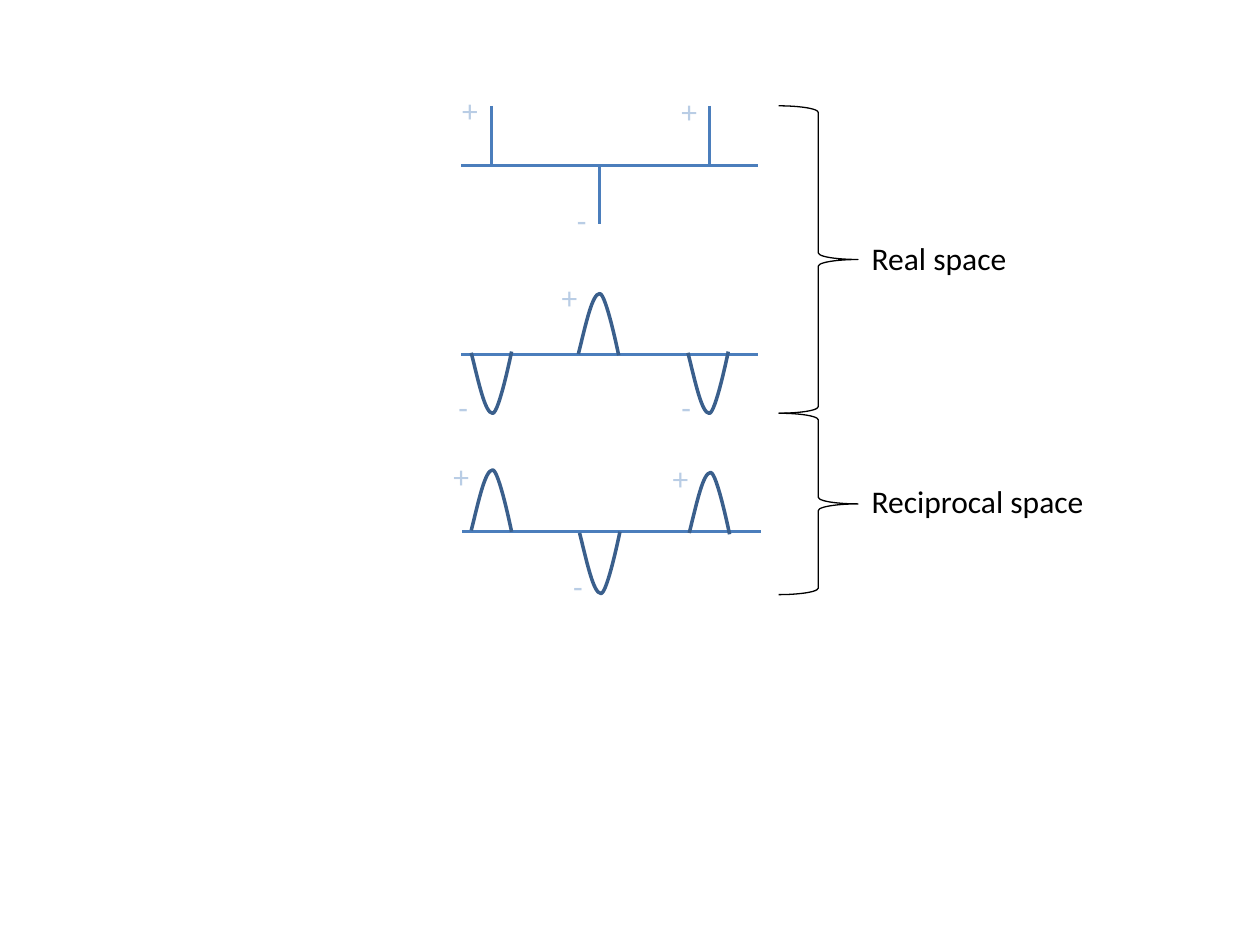
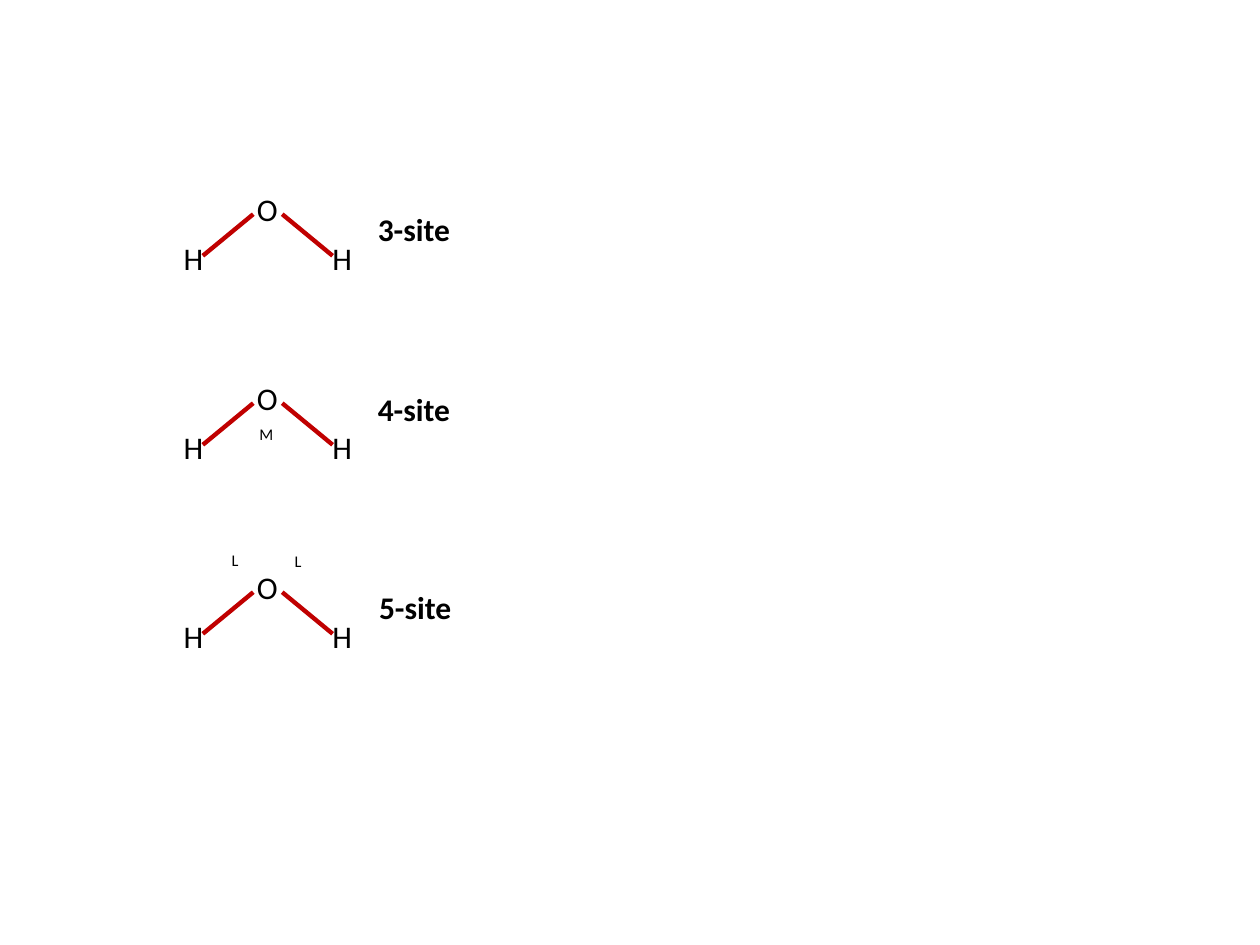
from lxml import etree
from pptx import Presentation
from pptx import util as u
from pptx.dml.color import RGBColor
from pptx.enum import shapes, text
from pptx.oxml.ns import qn

EMU_PER_PX = 9144
FONT = "Calibri"
BLACK = RGBColor(0x00, 0x00, 0x00)
WHITE = RGBColor(0xFF, 0xFF, 0xFF)
AXIS_BLUE = RGBColor(0x4B, 0x7E, 0xBC)
LOBE_BLUE = RGBColor(0x3A, 0x5F, 0x8C)
SIGN_BLUE = RGBColor(0xB9, 0xCD, 0xE5)
BOND_RED = RGBColor(0xC0, 0x00, 0x00)

LABEL_HEIGHT = 40
SITE_HEIGHT = 28
LOBE_CONTROLS = ((6, 24), (11, 48), (17, 48), (22, 48), (32, -1), (32, -1))


def px(length):
    return u.Emu(round(length * EMU_PER_PX))


def add_line(slide, start, end, color, weight):
    line = slide.shapes.add_connector(
        shapes.MSO_CONNECTOR.STRAIGHT, *map(px, (*start, *end)))
    line.line.color.rgb = color
    line.line.width = u.Pt(weight)
    etree.SubElement(line._element.spPr, qn("a:effectLst"))


def add_label(slide, wording, left, top, width, height=LABEL_HEIGHT,
              color=BLACK, size=18, bold=False, subscript=False):
    label = slide.shapes.add_textbox(*map(px, (left, top, width, height)))
    frame = label.text_frame
    frame.text = wording
    frame.word_wrap = False
    frame.auto_size = text.MSO_AUTO_SIZE.SHAPE_TO_FIT_TEXT
    run = frame.paragraphs[0].runs[0]
    run.font.name = FONT
    run.font.size = u.Pt(size)
    run.font.bold = bold
    run.font.color.rgb = color
    if subscript:
        run._r.get_or_add_rPr().set("baseline", "-25000")


def bend_segments(freeform):
    segments = list(freeform._element.spPr.iter(qn("a:lnTo")))
    for first, second, third in zip(*[iter(segments)] * 3):
        first.tag = qn("a:cubicBezTo")
        for segment in (second, third):
            first.append(segment[0])
            segment.getparent().remove(segment)


def add_lobe(slide, left, base, direction):
    builder = slide.shapes.build_freeform(px(left), px(base))
    builder.add_line_segments(
        [(px(left + x), px(base + direction * y)) for x, y in LOBE_CONTROLS],
        close=False)
    lobe = builder.convert_to_shape()
    bend_segments(lobe)
    lobe.fill.background()
    lobe.line.color.rgb = LOBE_BLUE
    lobe.line.width = u.Pt(2)
    lobe.shadow.inherit = False


def add_brace(slide, top, height):
    brace = slide.shapes.add_shape(
        shapes.MSO_SHAPE.RIGHT_BRACE, *map(px, (618, top, 63, height)))
    brace.fill.solid()
    brace.fill.fore_color.rgb = WHITE
    brace.line.color.rgb = BLACK
    brace.line.width = u.Pt(0.75)
    brace.shadow.inherit = False


def add_water(slide, top):
    add_line(slide, (201, top + 24), (161, top + 57), BOND_RED, 2.5)
    add_line(slide, (264, top + 57), (224, top + 24), BOND_RED, 2.5)
    add_label(slide, "O", 194, top, 37)
    for hydrogen_left in (136, 254):
        add_label(slide, "H", hydrogen_left, top + 39, 36)


def draw_charge_spaces(slide):
    for left, right, axis_y in ((366, 602, 131), (366, 602, 281), (367, 604, 422)):
        add_line(slide, (left, axis_y), (right, axis_y), AXIS_BLUE, 1.75)
    for spike_x, top, bottom in ((390, 84, 131), (476, 131, 178), (563, 84, 131)):
        add_line(slide, (spike_x, top), (spike_x, bottom), AXIS_BLUE, 1.75)

    for left, base in ((374, 421), (459, 281), (547, 423)):
        add_lobe(slide, left, base, -1)
    for left, base in ((374, 280), (546, 280), (460, 423)):
        add_lobe(slide, left, base, 1)

    for brace_top, brace_height in ((84, 244), (328, 144)):
        add_brace(slide, brace_top, brace_height)

    for left, top in ((357, 67), (531, 68), (436, 216), (350, 358), (524, 359)):
        add_label(slide, "+", left, top, 33, color=SIGN_BLUE)
    for left, top in ((448, 155), (354, 303), (531, 303), (445, 445)):
        add_label(slide, "-", left, top, 28, color=SIGN_BLUE)

    add_label(slide, "Real space", 682, 185, 128)
    add_label(slide, "Reciprocal space", 682, 378, 190)


def draw_water_models(slide):
    for row in range(3):
        add_water(slide, 146 + 150 * row)
    for model, left, top in (
            ("3-site", 290, 162), ("4-site", 290, 305), ("5-site", 291, 462)):
        add_label(slide, model, left, top, 78, bold=True)
    for site, left, top, width in (
            ("M", 196, 317, 33), ("L", 224, 418, 27), ("L", 174, 417, 27)):
        add_label(slide, site, left, top, width, SITE_HEIGHT, size=16, subscript=True)


def main():
    deck = Presentation()
    deck.slide_width, deck.slide_height = px(1000), px(750)
    blank = deck.slide_layouts[6]
    for draw in (draw_charge_spaces, draw_water_models):
        draw(deck.slides.add_slide(blank))
    deck.save("out.pptx")


if __name__ == "__main__":
    main()
